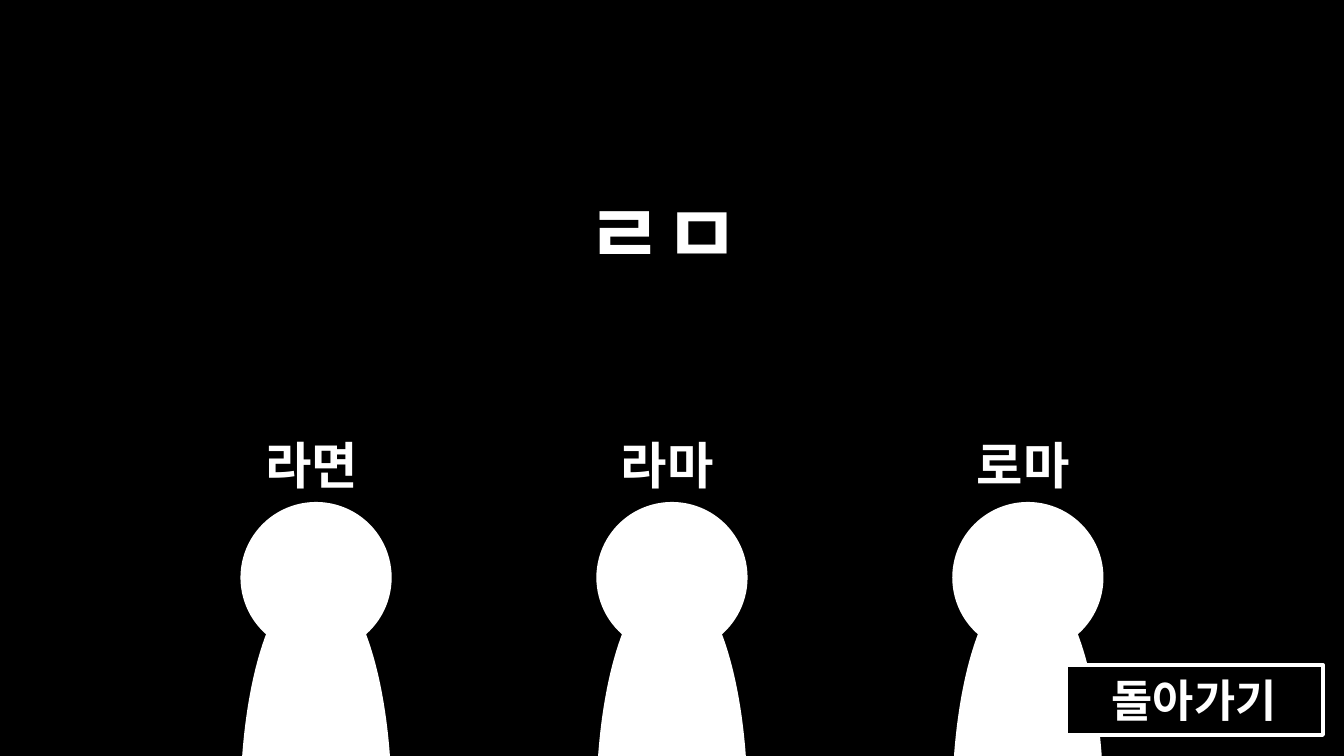
"""Build a consonant quiz slide with three answering figures and a return button."""
from lxml import etree
from pptx import Presentation
from pptx.dml.color import RGBColor
from pptx.enum.lang import MSO_LANGUAGE_ID
from pptx.enum.shapes import MSO_SHAPE
from pptx.enum.text import MSO_ANCHOR, MSO_AUTO_SIZE, PP_ALIGN
from pptx.oxml.ns import qn
from pptx.util import Inches, Pt

OVAL, RECTANGLE = MSO_SHAPE.OVAL, MSO_SHAPE.RECTANGLE
LEFT, CENTER, MIDDLE = PP_ALIGN.LEFT, PP_ALIGN.CENTER, MSO_ANCHOR.MIDDLE
FIT_SHAPE, KOREAN = MSO_AUTO_SIZE.SHAPE_TO_FIT_TEXT, MSO_LANGUAGE_ID.KOREAN
COLORS = {name: RGBColor.from_string(value)
          for name, value in {"night": "000000", "chalk": "FFFFFF"}.items()}
FONT = "Arial"
WIDTH, HEIGHT = 13.33, 7.5
COLUMN_STEP = 3.53
HEAD_SIZE, HEAD_TOP = 1.5, 4.98
BODY_TOP, BODY_HEIGHT = HEAD_TOP + HEAD_SIZE / 2, 3 * HEAD_SIZE
ANSWER_WIDTH, ANSWER_HEIGHT = 1.21, 0.71


def add_filled_shape(shapes, kind, box, color):
    shape = shapes.add_shape(kind, *map(Inches, box))
    shape.shadow.inherit = False
    shape.fill.solid()
    shape.fill.fore_color.rgb = COLORS[color]
    shape.line.fill.background()
    return shape


def write_text(shape, text, size, alignment):
    paragraph = shape.text_frame.paragraphs[0]
    paragraph.alignment = alignment
    run = paragraph.add_run()
    run.text = text
    run.font.color.rgb = COLORS["chalk"]
    formats = {"size": Pt(size), "bold": True, "name": FONT, "language_id": KOREAN}
    for attribute, value in formats.items():
        setattr(run.font, attribute, value)
    etree.SubElement(run._r.get_or_add_rPr(), qn("a:ea"), typeface=FONT)


presentation = Presentation()
presentation.slide_width, presentation.slide_height = Inches(WIDTH), Inches(HEIGHT)
slide = presentation.slides.add_slide(presentation.slide_layouts[6])
slide.background.fill.solid()
slide.background.fill.fore_color.rgb = COLORS["night"]

answers = ["라면", "라마", "로마"]
centers = [WIDTH / 2 + (column - 1) * COLUMN_STEP for column in range(len(answers))]
for center in centers:
    figure = slide.shapes.add_group_shape()
    for top, height in [(HEAD_TOP, HEAD_SIZE), (BODY_TOP, BODY_HEIGHT)]:
        box = (center - HEAD_SIZE / 2, top, HEAD_SIZE, height)
        add_filled_shape(figure.shapes, OVAL, box, "chalk")

button = add_filled_shape(slide.shapes, RECTANGLE, (10.57, 6.6, 2.55, 0.69), "night")
button.line.color.rgb = COLORS["chalk"]
button.line.width = Pt(3)
button.text_frame.vertical_anchor = MIDDLE
write_text(button, "돌아가기", 32, CENTER)

labels = [("ㄹㅁ", 60, (5.72, 1.75, 1.88, 1.11))]
for answer, center in zip(answers, centers):
    box = (center - ANSWER_WIDTH / 2, 4.26, ANSWER_WIDTH, ANSWER_HEIGHT)
    labels.append((answer, 36, box))
for text, size, box in labels:
    label = slide.shapes.add_textbox(*map(Inches, box))
    label.text_frame.word_wrap = False
    label.text_frame.auto_size = FIT_SHAPE
    write_text(label, text, size, LEFT)

presentation.save("out.pptx")
